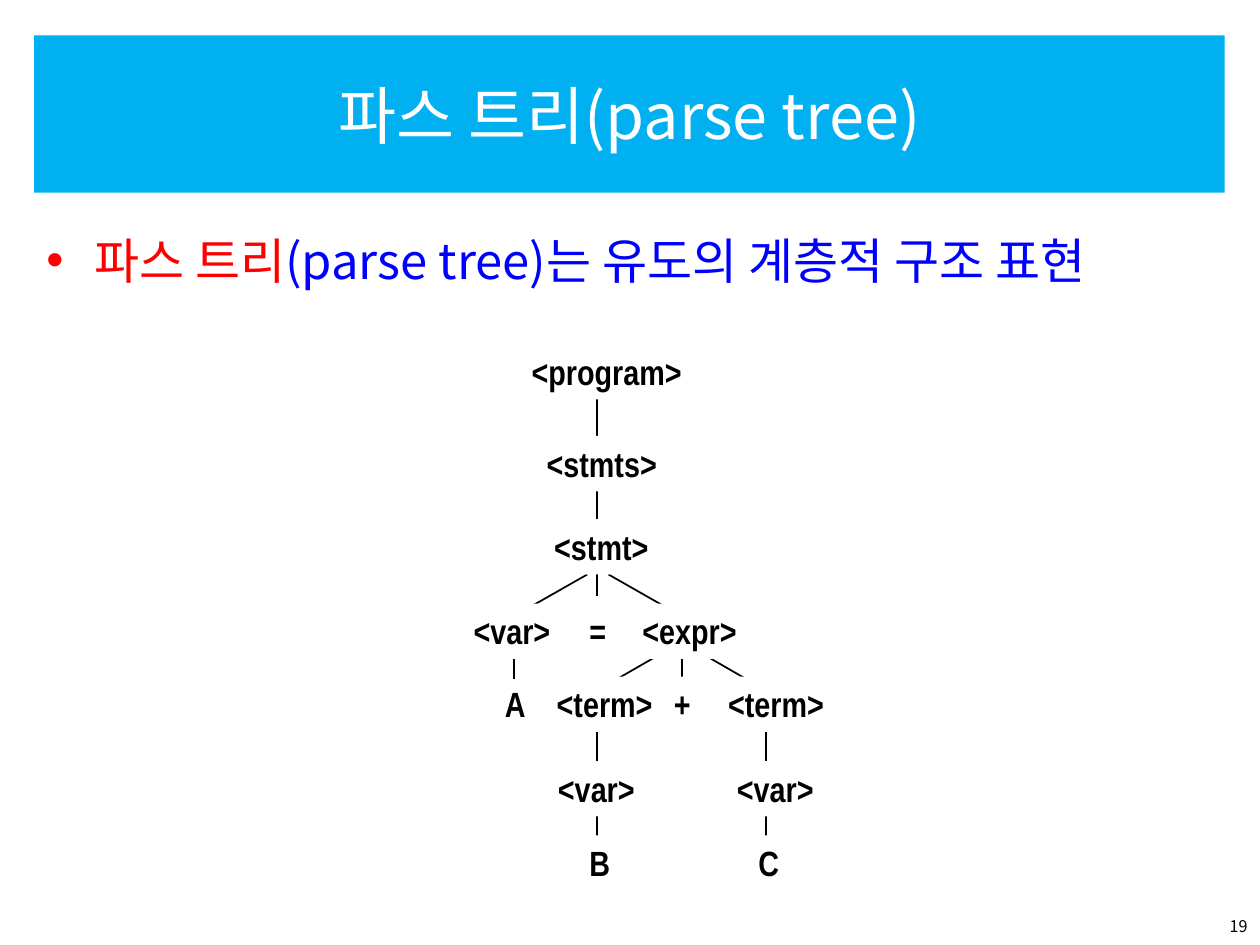
from dataclasses import dataclass

from lxml import etree
from pptx import Presentation
from pptx import util as u
from pptx.dml.color import RGBColor
from pptx.enum import shapes, text
from pptx.oxml import ns


@dataclass(frozen=True)
class Theme:
    banner: str = "00B0F0"
    white: str = "FFFFFF"
    black: str = "000000"
    red: str = "FF0000"
    blue: str = "0000FF"
    body_font: str = "Noto Sans CJK KR"
    node_font: str = "Arial Narrow"
    title_size: float = 36
    body_size: float = 28
    node_size: float = 20
    number_size: float = 9.2
    line_width: float = 1


class SlideBuilder:
    def __init__(self, slide, theme):
        self.slide = slide
        self.theme = theme

    def add_span(self, para, words, size, color, font=None, bold=False):
        span = para.add_run()
        span.text = words
        span.font.size = u.Pt(size)
        span.font.bold = bold
        span.font.name = font or self.theme.body_font
        span.font.color.rgb = RGBColor.from_string(color)
        east_asian = etree.SubElement(span.font._element, ns.qn("a:ea"))
        east_asian.set("typeface", font or self.theme.body_font)

    def add_box(self, left, top, width, height, fill=None, wrap=True,
                anchor=text.MSO_ANCHOR.TOP, align=text.PP_ALIGN.LEFT):
        area = [u.Inches(value) for value in (left, top, width, height)]
        if fill:
            box = self.slide.shapes.add_shape(shapes.MSO_SHAPE.RECTANGLE, *area)
            box.shadow.inherit = False
            box.fill.solid()
            box.fill.fore_color.rgb = RGBColor.from_string(fill)
            box.line.fill.background()
        else:
            box = self.slide.shapes.add_textbox(*area)
        frame = box.text_frame
        frame.word_wrap = wrap
        frame.vertical_anchor = anchor
        para = frame.paragraphs[0]
        para.alignment = align
        return para

    def add_title(self, words):
        para = self.add_box(0.27, 0.28, 9.45, 1.25, self.theme.banner,
                            anchor=text.MSO_ANCHOR.MIDDLE,
                            align=text.PP_ALIGN.CENTER)
        self.add_span(para, words, self.theme.title_size, self.theme.white)

    def add_bullet(self, spans):
        para = self.add_box(0.27, 1.78, 9.29, 5.54)
        para.space_before = u.Pt(7)
        props = para._p.get_or_add_pPr()
        props.set("marL", str(u.Inches(0.38)))
        props.set("indent", str(u.Inches(-0.38)))
        bullet_color = etree.SubElement(props, ns.qn("a:buClr"))
        etree.SubElement(bullet_color, ns.qn("a:srgbClr")).set("val", self.theme.red)
        etree.SubElement(props, ns.qn("a:buFont")).set("typeface", "Arial")
        etree.SubElement(props, ns.qn("a:buChar")).set("char", "•")
        for words, color in spans:
            self.add_span(para, words, self.theme.body_size, color)

    def add_page_number(self, number):
        para = self.add_box(7.67, 7.22, 2.33, 0.28, align=text.PP_ALIGN.RIGHT)
        self.add_span(para, number, self.theme.number_size, self.theme.black)

    def add_branch(self, start_x, start_y, end_x, end_y):
        ends = [u.Inches(value) for value in (start_x, start_y, end_x, end_y)]
        branch = self.slide.shapes.add_connector(shapes.MSO_CONNECTOR.STRAIGHT, *ends)
        branch.line.width = u.Pt(self.theme.line_width)
        branch.line.color.rgb = RGBColor.from_string(self.theme.black)
        etree.SubElement(branch._element.spPr, ns.qn("a:effectLst"))

    def add_node(self, words, left, top, width, filled=True):
        fill = self.theme.white if filled else None
        para = self.add_box(left, top, width, 0.44, fill, wrap=False)
        self.add_span(para, words, self.theme.node_size, self.theme.black,
                      self.theme.node_font, bold=True)


BRANCHES = [
    (4.74, 2.98, 4.74, 4.73),
    (4.66, 4.56, 4.08, 4.89),
    (4.83, 4.56, 5.41, 4.89),
    (4.08, 4.89, 4.08, 5.39),
    (5.33, 5.14, 4.74, 5.48),
    (5.41, 4.89, 5.41, 5.48),
    (5.49, 5.14, 6.08, 5.48),
    (4.74, 5.56, 4.74, 6.89),
    (6.08, 5.56, 6.08, 6.89),
]

WIDTHS = {
    "<program>": 1.39, "<stmts>": 1.07, "<stmt>": 0.95, "<expr>": 0.95,
    "<term>": 0.96, "<var>": 0.81, "=": 0.33, "+": 0.33,
    "A": 0.36, "B": 0.36, "C": 0.36,
}

LEVELS = [
    (2.73, [("<program>", 4.12)]),
    (3.46, [("<stmts>", 4.24)]),
    (4.12, [("<stmt>", 4.3)]),
    (4.79, [("<var>", 3.66), ("=", 4.58), ("<expr>", 5)]),
    (5.37, [("A", 3.91), ("<term>", 4.32), ("+", 5.25), ("<term>", 5.68)]),
    (6.04, [("<var>", 4.33), ("<var>", 5.75)]),
    (6.63, [("B", 4.58), ("C", 5.92)]),
]

UNFILLED = {"A", "="}


def main():
    deck = Presentation()
    deck.slide_width, deck.slide_height = u.Inches(10), u.Inches(7.5)
    theme = Theme()
    page = SlideBuilder(deck.slides.add_slide(deck.slide_layouts[6]), theme)
    page.add_title("파스 트리(parse tree)")
    page.add_bullet([("파스 트리", theme.red),
                     ("(parse tree)는 유도의 계층적 구조 표현", theme.blue)])
    page.add_page_number("19")
    for branch in BRANCHES:
        page.add_branch(*branch)
    for top, nodes in LEVELS:
        for words, left in nodes:
            page.add_node(words, left, top, WIDTHS[words], words not in UNFILLED)
    deck.save("out.pptx")


if __name__ == "__main__":
    main()
